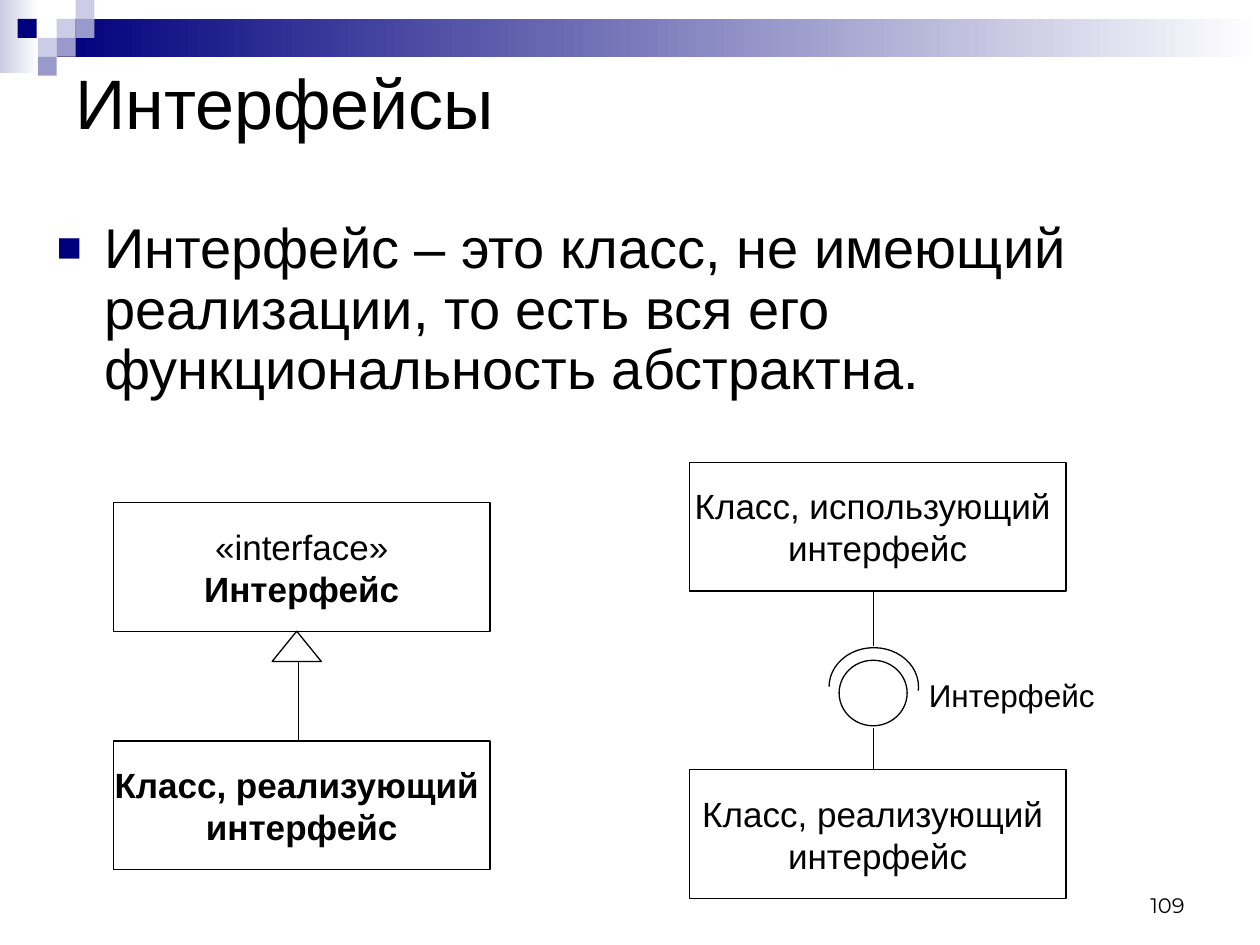
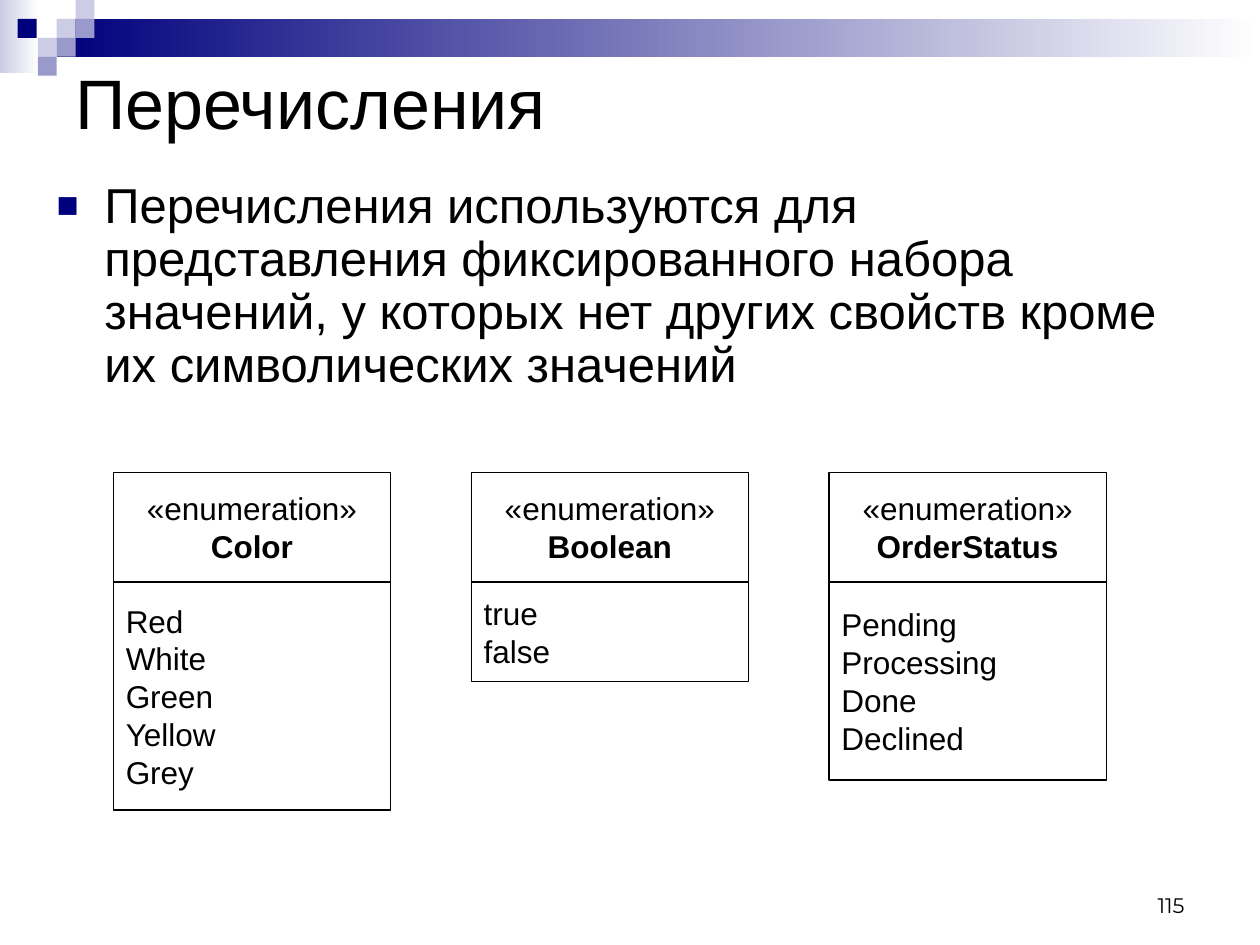
"""Build two lecture slides on UML interfaces and enumerations."""
from dataclasses import dataclass

from lxml import etree
from pptx import Presentation
from pptx.dml.color import RGBColor
from pptx.enum import shapes, text
from pptx.oxml import ns
from pptx.util import Inches, Pt

BLACK = RGBColor(0x00, 0x00, 0x00)
WHITE = RGBColor(0xFF, 0xFF, 0xFF)
NAVY = RGBColor(0x00, 0x00, 0x7D)
LILAC = RGBColor(0x99, 0x99, 0xCC)
PALE = RGBColor(0xCC, 0xCC, 0xE6)
FONT = "Arial"
NUMBER_FONT = "Montserrat"
LINE_WIDTH = Pt(0.75)
TILE = 0.15

Kind = shapes.MSO_SHAPE
Align = text.PP_ALIGN
Anchor = text.MSO_ANCHOR


@dataclass(frozen=True)
class Area:
    """A rectangle in inches."""

    left: float
    top: float
    width: float
    height: float

    def lengths(self) -> tuple:
        """Return the four sides as slide lengths."""
        return tuple(Inches(side) for side in (self.left, self.top, self.width, self.height))


@dataclass(frozen=True)
class Tile:
    """A small square of the header mosaic."""

    left: float
    top: float
    color: RGBColor


@dataclass(frozen=True)
class Style:
    """How the paragraphs of a box look."""

    size: float
    align: Align = Align.LEFT
    anchor: Anchor = Anchor.MIDDLE
    font: str = FONT
    wrap: bool = True


@dataclass(frozen=True)
class ClassBox:
    """A UML class box with the indexes of its bold lines."""

    left: float
    top: float
    lines: tuple
    bold: tuple = ()


@dataclass(frozen=True)
class Enumeration:
    """A UML enumeration with its values."""

    name: str
    values: tuple
    height: float


TITLE = Style(40)
NUMBER = Style(12, Align.RIGHT, Anchor.BOTTOM, NUMBER_FONT)
CLASS_NAME = Style(20, Align.CENTER, wrap=False)
SOCKET_NAME = Style(18, Align.CENTER)
ENUM_NAME = Style(18, Align.CENTER, wrap=False)
ENUM_VALUES = Style(18)

CLASS_WIDTH, CLASS_HEIGHT = 2.99, 1.02
ENUM_LEFT, ENUM_TOP, ENUM_STEP = 0.9, 3.75, 2.84
ENUM_WIDTH, ENUM_HEAD = 2.2, 0.87

TILES = (
    Tile(0.45, 0.15, PALE),
    Tile(0.6, 0, PALE),
    Tile(0.6, 0.15, LILAC),
    Tile(0.3, 0.3, PALE),
    Tile(0.14, 0.15, NAVY),
    Tile(0.45, 0.3, LILAC),
    Tile(0.3, 0.45, LILAC),
)
CLASS_BOXES = (
    ClassBox(0.9, 3.99, ("«interface»", "Интерфейс"), (1,)),
    ClassBox(0.9, 5.88, ("Класс, реализующий ", "интерфейс"), (0, 1)),
    ClassBox(5.47, 3.67, ("Класс, использующий ", "интерфейс")),
    ClassBox(5.47, 6.11, ("Класс, реализующий ", "интерфейс")),
)
ENUMERATIONS = (
    Enumeration("Color", ("Red", "White", "Green", "Yellow", "Grey"), 1.81),
    Enumeration("Boolean", ("true", "false"), 0.79),
    Enumeration("OrderStatus", ("Pending", "Processing", "Done", "Declined"), 1.57),
)


def write(box, lines: tuple, style: Style, bold: tuple = ()) -> None:
    """Write one paragraph per line into the box."""
    frame = box.text_frame
    frame.word_wrap = style.wrap
    frame.vertical_anchor = style.anchor
    for index, line in enumerate(lines):
        para = frame.add_paragraph() if index else frame.paragraphs[0]
        para.text = line
        para.alignment = style.align
        para.font.name = style.font
        para.font.size = Pt(style.size)
        para.font.bold = index in bold
        para.font.color.rgb = BLACK


def add_text(page, area: Area, line: str, style: Style) -> None:
    """Add a text box with one paragraph."""
    write(page.shapes.add_textbox(*area.lengths()), (line,), style)


def add_band(page, area: Area, color: RGBColor) -> None:
    """Add a band that fades from the colour to white."""
    band = page.shapes.add_shape(Kind.RECTANGLE, *area.lengths())
    band.shadow.inherit = False
    band.line.fill.background()
    band.fill.gradient()
    band.fill.gradient_angle = 0
    for stop, shade, position in zip(band.fill.gradient_stops, (color, WHITE), (0, 1)):
        stop.color.rgb = shade
        stop.position = position


def add_tile(page, tile: Tile) -> None:
    """Add a square of the header mosaic."""
    area = Area(tile.left, tile.top, TILE, TILE)
    square = page.shapes.add_shape(Kind.RECTANGLE, *area.lengths())
    square.shadow.inherit = False
    square.line.fill.background()
    square.fill.solid()
    square.fill.fore_color.rgb = tile.color


def add_outline(page, kind: Kind, area: Area):
    """Add an unfilled shape with a thin black outline."""
    outline = page.shapes.add_shape(kind, *area.lengths())
    outline.shadow.inherit = False
    outline.fill.background()
    outline.line.color.rgb = BLACK
    outline.line.width = LINE_WIDTH
    return outline


def add_stem(page, x: float, top: float, bottom: float) -> None:
    """Add a thin vertical line."""
    stem = page.shapes.add_connector(
        shapes.MSO_CONNECTOR.STRAIGHT, Inches(x), Inches(top), Inches(x), Inches(bottom)
    )
    stem.line.color.rgb = BLACK
    stem.line.width = LINE_WIDTH
    etree.SubElement(stem.element.spPr, ns.qn("a:effectLst"))


def add_definition(page, top: float, line: str, size: float) -> None:
    """Add the bulleted definition below the title."""
    box = page.shapes.add_textbox(*Area(0.35, top, 9.29, 2).lengths())
    para = box.text_frame.paragraphs[0]
    properties = para._p.get_or_add_pPr()
    properties.set("marL", str(Inches(0.38)))
    properties.set("indent", str(Inches(-0.38)))
    para.line_spacing = 0.9
    color = etree.SubElement(properties, ns.qn("a:buClr"))
    etree.SubElement(color, ns.qn("a:srgbClr"), val=str(NAVY))
    etree.SubElement(properties, ns.qn("a:buSzPct"), val="75000")
    etree.SubElement(properties, ns.qn("a:buFont"), typeface=FONT)
    etree.SubElement(properties, ns.qn("a:buChar"), char="■")
    write(box, (line,), Style(size, anchor=Anchor.TOP))


def add_page(deck, title: str, number: int):
    """Add a slide with the header, title and slide number."""
    page = deck.slides.add_slide(deck.slide_layouts[6])
    add_band(page, Area(0, 0, 0.31, 0.58), PALE)
    add_band(page, Area(0.45, 0.15, 9.55, 0.3), NAVY)
    for tile in TILES:
        add_tile(page, tile)
    add_text(page, Area(0.5, 0.44, 9, 0.73), title, TITLE)
    add_text(page, Area(7.17, 6.83, 2.33, 0.5), str(number), NUMBER)
    return page


def add_class(page, item: ClassBox) -> None:
    """Add a UML class box."""
    area = Area(item.left, item.top, CLASS_WIDTH, CLASS_HEIGHT)
    write(add_outline(page, Kind.RECTANGLE, area), item.lines, CLASS_NAME, item.bold)


def add_enumeration(page, left: float, item: Enumeration) -> None:
    """Add a UML enumeration: name above, values below."""
    head = add_outline(page, Kind.RECTANGLE, Area(left, ENUM_TOP, ENUM_WIDTH, ENUM_HEAD))
    write(head, ("«enumeration»", item.name), ENUM_NAME, (1,))
    area = Area(left, ENUM_TOP + ENUM_HEAD, ENUM_WIDTH, item.height)
    write(add_outline(page, Kind.RECTANGLE, area), item.values, ENUM_VALUES)


def build_interfaces(deck) -> None:
    """Build the slide on interfaces."""
    page = add_page(deck, "Интерфейсы", 109)
    add_definition(
        page,
        1.7,
        "Интерфейс – это класс, не имеющий реализации, "
        "то есть вся его функциональность абстрактна.",
        32,
    )
    for item in CLASS_BOXES:
        add_class(page, item)
    add_outline(page, Kind.FLOWCHART_EXTRACT, Area(2.16, 5.01, 0.39, 0.24))
    add_stem(page, 2.37, 5.25, 5.88)
    add_stem(page, 6.93, 4.69, 5.13)
    add_stem(page, 6.93, 5.78, 6.11)
    add_outline(page, Kind.OVAL, Area(6.66, 5.24, 0.54, 0.52))
    socket = add_outline(page, Kind.ARC, Area(6.58, 5.14, 0.71, 0.62))
    socket.adjustments[0] = 108
    socket.adjustments[1] = 3
    add_text(page, Area(7.18, 5.32, 1.7, 0.39), "Интерфейс", SOCKET_NAME)


def build_enumerations(deck) -> None:
    """Build the slide on enumerations."""
    page = add_page(deck, "Перечисления", 115)
    add_definition(
        page,
        1.39,
        "Перечисления используются для представления фиксированного набора "
        "значений, у которых нет других свойств кроме их символических значений",
        28,
    )
    for index, item in enumerate(ENUMERATIONS):
        add_enumeration(page, ENUM_LEFT + index * ENUM_STEP, item)


def main() -> None:
    """Build and save the deck."""
    deck = Presentation()
    deck.slide_width = Inches(10)
    deck.slide_height = Inches(7.5)
    build_interfaces(deck)
    build_enumerations(deck)
    deck.save("out.pptx")


if __name__ == "__main__":
    main()
